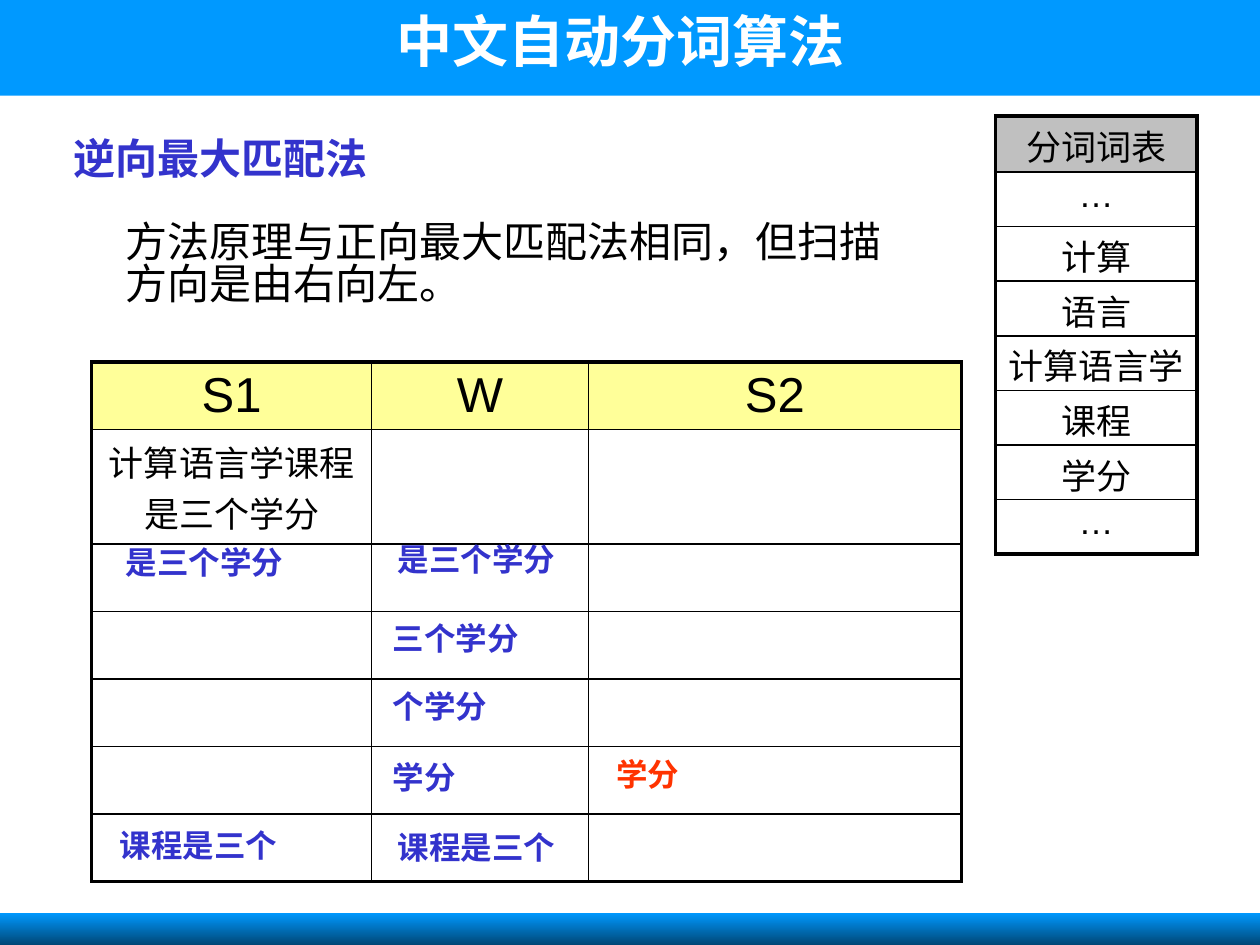
from dataclasses import dataclass

from lxml.etree import SubElement
from pptx import Presentation
from pptx.dml.color import RGBColor
from pptx.enum.shapes import MSO_SHAPE
from pptx.enum.text import MSO_ANCHOR, MSO_AUTO_SIZE, PP_ALIGN
from pptx.oxml.ns import qn
from pptx.util import Cm, Pt

SKY, NAVY, INDIGO, RED = "0099FF", "004776", "3333CC", "FF3300"
BLACK, WHITE, YELLOW, GREY = "000000", "FFFFFF", "FFFF99", "C0C0C0"
SERIF, SANS = "Times New Roman", "Arial"
OUTER, INNER = 2.25, 1


@dataclass
class Label:
    """A text box; lengths in cm, size in points."""
    text: str
    left: float
    top: float
    width: float
    height: float = 1.02
    size: float = 18
    color: str = INDIGO
    bold: bool = True
    spacing: float = 0.9


@dataclass
class Grid:
    """A framed table with one coloured header row; lengths in cm."""
    left: float
    top: float
    columns: list[float]
    row_heights: list[float]
    rows: list[list[str]]
    header_fill: str
    header_size: float
    margins: tuple[float, float, float]  # side, top, bottom


def rgb(color: str) -> RGBColor:
    return RGBColor.from_string(color)


def style_paragraph(paragraph, size: float, color: str, font: str, bold: bool = False) -> None:
    for run in paragraph.runs:
        run.font.size = Pt(size)
        run.font.name = font
        run.font.bold = bold
        run.font.color.rgb = rgb(color)


def write_label(shape, label: Label, anchor=MSO_ANCHOR.TOP, align=PP_ALIGN.LEFT) -> None:
    shape.left, shape.top = Cm(label.left), Cm(label.top)
    shape.width, shape.height = Cm(label.width), Cm(label.height)
    frame = shape.text_frame
    frame.text = label.text
    frame.word_wrap = True
    frame.auto_size = MSO_AUTO_SIZE.NONE
    frame.vertical_anchor = anchor
    paragraph = frame.paragraphs[0]
    paragraph.alignment = align
    paragraph.line_spacing = label.spacing
    style_paragraph(paragraph, label.size, label.color, SERIF, label.bold)


def add_label(slide, label: Label) -> None:
    box = slide.shapes.add_textbox(0, 0, Cm(1), Cm(1))
    write_label(box, label)


def add_bar(slide, top: float, height: float):
    bar = slide.shapes.add_shape(MSO_SHAPE.RECTANGLE, 0, Cm(top), Cm(25.4), Cm(height))
    bar.shadow.inherit = False
    bar.line.fill.background()
    bar.fill.solid()
    bar.fill.fore_color.rgb = rgb(SKY)
    return bar


def fade_down(shape, start: str, end: str) -> None:
    shape.fill.gradient()
    shape.fill.gradient_angle = 270
    for stop, color, position in zip(shape.fill.gradient_stops, (start, end), (0, 1)):
        stop.color.rgb = rgb(color)
        stop.position = position


def set_borders(cell, left: float, right: float, top: float, bottom: float) -> None:
    properties = cell._tc.get_or_add_tcPr()
    for side, width in zip("LRTB", (left, right, top, bottom)):
        line = SubElement(properties, qn(f"a:ln{side}"), w=str(Pt(width)))
        fill = SubElement(line, qn("a:solidFill"))
        SubElement(fill, qn("a:srgbClr"), val=BLACK)


def add_grid(slide, grid: Grid) -> None:
    last_row, last_column = len(grid.rows) - 1, len(grid.columns) - 1
    table = slide.shapes.add_table(
        last_row + 1, last_column + 1, Cm(grid.left), Cm(grid.top),
        Cm(sum(grid.columns)), Cm(sum(grid.row_heights))).table
    table.horz_banding = False
    for column, width in zip(table.columns, grid.columns):
        column.width = Cm(width)
    for row, height in zip(table.rows, grid.row_heights):
        row.height = Cm(height)
    side, above, below = map(Cm, grid.margins)
    for r, texts in enumerate(grid.rows):
        for c, text in enumerate(texts):
            cell = table.cell(r, c)
            cell.margin_left = cell.margin_right = side
            cell.margin_top, cell.margin_bottom = above, below
            set_borders(cell, *(OUTER if edge else INNER for edge in
                                (c == 0, c == last_column, r == 0, r == last_row)))
            if r == 0:
                cell.fill.solid()
                cell.fill.fore_color.rgb = rgb(grid.header_fill)
            else:
                cell.fill.background()
            cell.text = text
            paragraph = cell.text_frame.paragraphs[0]
            paragraph.alignment = PP_ALIGN.CENTER
            style_paragraph(paragraph, 20 if r else grid.header_size, BLACK, SANS)


HEADINGS = [
    Label("逆向最大匹配法", 1.24, 2.67, 9.3, 1.27, size=24),
    Label("方法原理与正向最大匹配法相同，但扫描方向是由右向左。", 2.29, 4.4, 16.18, 2.29,
          size=24, color=BLACK, bold=False, spacing=0.83),
]

STEPS = [
    Label("是三个学分", 7.77, 10.85, 5.5),
    Label("是三个学分", 2.29, 10.9, 5.5),
    Label("三个学分", 7.67, 12.45, 5.5),
    Label("个学分", 7.67, 13.82, 5.5),
    Label("学分", 7.67, 15.24, 5.5),
    Label("课程是三个", 2.16, 16.61, 4.65),
    Label("课程是三个", 7.77, 16.66, 4.65),
    Label("学分", 12.17, 15.19, 5.5, color=RED),
]

MATCHING = Grid(
    1.85, 7.3, [5.64, 4.37, 7.52], [1.36, 2.29] + [1.36] * 5,
    [["S1", "W", "S2"], ["计算语言学课程是三个学分", "", ""]] + [[""] * 3] * 5,
    YELLOW, 28, (0.25, 0.13, 0.13))

WORDS = ["分词词表", "…", "计算", "语言", "计算语言学", "课程", "学分", "…"]
DICTIONARY = Grid(
    20.07, 2.34, [4.06], [1.13] + [1.1] * 7, [[word] for word in WORDS],
    GREY, 20, (0.2, 0.07, 0))


def main() -> None:
    deck = Presentation()
    deck.slide_width, deck.slide_height = Cm(25.4), Cm(19.05)
    slide = deck.slides.add_slide(deck.slide_layouts[5])

    add_bar(slide, 0, 1.93)
    fade_down(add_bar(slide, 18.4, 0.65), SKY, NAVY)

    title = slide.shapes.title
    title.element.getparent().append(title.element)  # in front of the top bar
    write_label(title, Label("中文自动分词算法", 0.3, 0.15, 24.41, 1.6, size=32, color=WHITE),
                align=PP_ALIGN.CENTER)

    add_grid(slide, MATCHING)
    for label in STEPS + HEADINGS:
        add_label(slide, label)
    add_grid(slide, DICTIONARY)
    deck.save("out.pptx")


if __name__ == "__main__":
    main()
